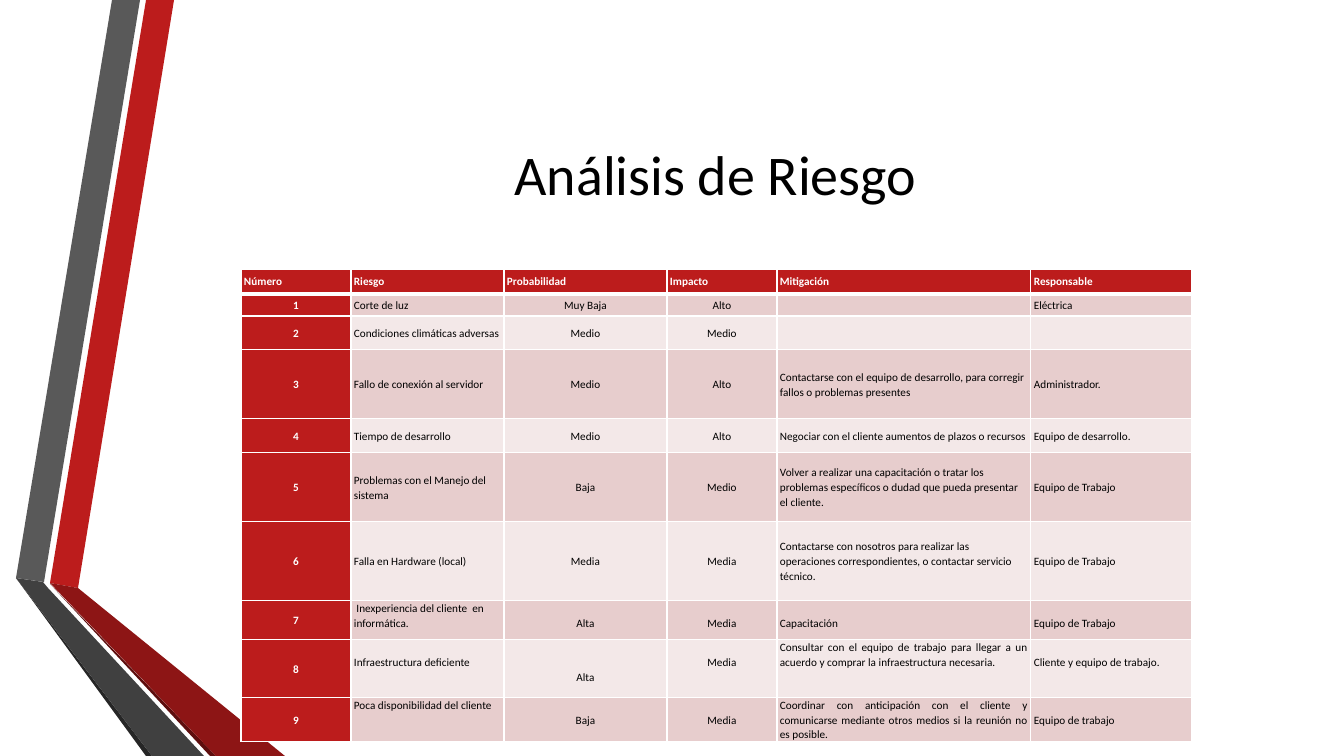
from lxml.etree import SubElement
from pptx import Presentation
from pptx.dml.color import RGBColor
from pptx.enum.text import MSO_ANCHOR, PP_ALIGN
from pptx.oxml.ns import qn
from pptx.util import Emu, Pt

SCALE = 914400 / 100.8
FONT = "Calibri"
COLORS = {
    "white": "FFFFFF", "black": "000000", "red": "BC1C1C", "deep_red": "8D1515",
    "dark_red": "5E0E0E", "grey": "595959", "charcoal": "404040", "dark_grey": "262626",
    "band_dark": "E7CDCD", "band_light": "F3E8E8",
}
LINE_HEIGHT = 15
COLUMN_WIDTHS = [110, 153, 163, 110, 254, 161]
ROW_HEIGHTS = [25, 22, 34, 69, 34, 69, 79, 39, 58, 44]
CENTERED_COLUMNS = (0, 2, 3)

RIBBONS = [
    ("red", [(50, 583), (78, 588), (174, 0), (146, 0)]),
    ("grey", [(140, 0), (112, 0), (16, 578), (44, 582)]),
    ("dark_grey", [(16, 578), (146, 756), (152, 756)]),
    ("dark_red", [(50, 584), (210, 756), (216, 756)]),
    ("deep_red", [(50, 583), (216, 756), (285, 756), (78, 588)]),
    ("charcoal", [(204, 756), (48, 588), (43, 582), (16, 578), (152, 756)]),
]

HEADERS = ["Número", "Riesgo", "Probabilidad", "Impacto", "Mitigación", "Responsable"]
RISKS = [
    ["Corte de luz", "Muy Baja", "Alto", "", "Eléctrica"],
    ["Condiciones climáticas adversas", "Medio", "Medio", "", ""],
    ["Fallo de conexión al servidor", "Medio", "Alto",
     "Contactarse con el equipo de desarrollo, para corregir fallos o problemas presentes",
     "Administrador."],
    ["Tiempo de desarrollo", "Medio", "Alto",
     "Negociar con el cliente aumentos de plazos o recursos", "Equipo de desarrollo."],
    ["Problemas con el Manejo del sistema", "Baja", "Medio",
     "Volver a realizar una capacitación o tratar los problemas específicos o dudad que "
     "pueda presentar el cliente.", "Equipo de Trabajo"],
    ["Falla en Hardware (local)", "Media", "Media",
     "Contactarse con nosotros para realizar las operaciones correspondientes, o contactar "
     "servicio técnico.", "Equipo de Trabajo"],
    [" Inexperiencia del cliente  en informática.", "Alta", "Media", "Capacitación",
     "Equipo de Trabajo"],
    ["Infraestructura deficiente", "Alta", "Media",
     "Consultar con el equipo de trabajo para llegar a un acuerdo y comprar la "
     "infraestructura necesaria.", "Cliente y equipo de trabajo."],
    ["Poca disponibilidad del cliente", "Baja", "Media",
     "Coordinar con anticipación con el cliente y comunicarse mediante otros medios si la "
     "reunión no es posible.", "Equipo de trabajo"],
]
# Rows whose text hangs from the top: lines left free above each column's text.
TOP_LINES = {7: [0, 0, 1, 1, 1, 1], 8: [0, 1, 2, 1, 0, 1], 9: [0, 0, 1, 1, 0, 1]}


def px(length):
    return Emu(round(length * SCALE))


def color(name):
    return RGBColor.from_string(COLORS[name])


def style_text(para, size, color_name, align, bold=False):
    para.alignment = align
    for span in para.runs:
        span.font.name = FONT
        span.font.size = Pt(size)
        span.font.bold = bold
        span.font.color.rgb = color(color_name)


def add_ribbons(page, left, top):
    for color_name, points in RIBBONS:
        builder = page.shapes.build_freeform(*points[0], scale=SCALE)
        builder.add_line_segments(points[1:], close=True)
        ribbon = builder.convert_to_shape(px(left), px(top))
        ribbon.shadow.inherit = False
        ribbon.fill.solid()
        ribbon.fill.fore_color.rgb = color(color_name)
        ribbon.line.fill.background()


def add_title(page, left, top, width, height):
    box = page.shapes.add_textbox(px(left), px(top), px(width), px(height))
    frame = box.text_frame
    frame.word_wrap = True
    frame.vertical_anchor = MSO_ANCHOR.MIDDLE
    frame.text = "Análisis de Riesgo"
    style_text(frame.paragraphs[0], 40, "black", PP_ALIGN.CENTER)


def add_borders(cell, row):
    """White rules, thicker between the header and the first risk."""
    thick_side = {0: "lnB", 1: "lnT"}.get(row)
    properties = cell._tc.get_or_add_tcPr()
    for side in ("lnL", "lnR", "lnT", "lnB"):
        points = 3 if side == thick_side else 1
        line = SubElement(properties, qn(f"a:{side}"), w=str(Pt(points)))
        fill = SubElement(line, qn("a:solidFill"))
        SubElement(fill, qn("a:srgbClr"), val=COLORS["white"])


def cell_alignment(row, column):
    if row > 0 and column in CENTERED_COLUMNS:
        return PP_ALIGN.CENTER
    if row in TOP_LINES and column >= 4:
        return PP_ALIGN.JUSTIFY
    return PP_ALIGN.LEFT


def fill_cell(cell, row, column, text):
    heading = row == 0 or column == 0
    add_borders(cell, row)
    cell.fill.solid()
    band = "band_dark" if row % 2 else "band_light"
    cell.fill.fore_color.rgb = color("red" if heading else band)
    cell.margin_left = cell.margin_right = px(3)
    cell.margin_top = cell.margin_bottom = 0
    cell.vertical_anchor = MSO_ANCHOR.MIDDLE
    if row in TOP_LINES and column > 0:
        cell.vertical_anchor = MSO_ANCHOR.TOP
        cell.margin_top = px(TOP_LINES[row][column] * LINE_HEIGHT)
    para = cell.text_frame.paragraphs[0]
    para.text = text
    para.line_spacing = 1.07
    style_text(para, 8, "white" if heading else "black", cell_alignment(row, column), heading)
    if not text:
        SubElement(para._p, qn("a:endParaRPr"), sz="800")


def add_risk_table(page, left, top):
    rows = [HEADERS] + [[str(number), *risk] for number, risk in enumerate(RISKS, 1)]
    table = page.shapes.add_table(
        len(rows), len(HEADERS), px(left), px(top),
        px(sum(COLUMN_WIDTHS)), px(sum(ROW_HEIGHTS))).table
    for column, width in zip(table.columns, COLUMN_WIDTHS):
        column.width = px(width)
    for row, height in zip(table.rows, ROW_HEIGHTS):
        row.height = px(height)
    for row, texts in enumerate(rows):
        for column, text in enumerate(texts):
            fill_cell(table.cell(row, column), row, column, text)


def main():
    deck = Presentation()
    deck.slide_width, deck.slide_height = px(1344), px(756)
    page = deck.slides.add_slide(deck.slide_layouts[6])
    add_ribbons(page, 0, 0)
    add_title(page, 163, 76, 1105, 194)
    add_risk_table(page, 241, 269)
    deck.save("out.pptx")


if __name__ == "__main__":
    main()
